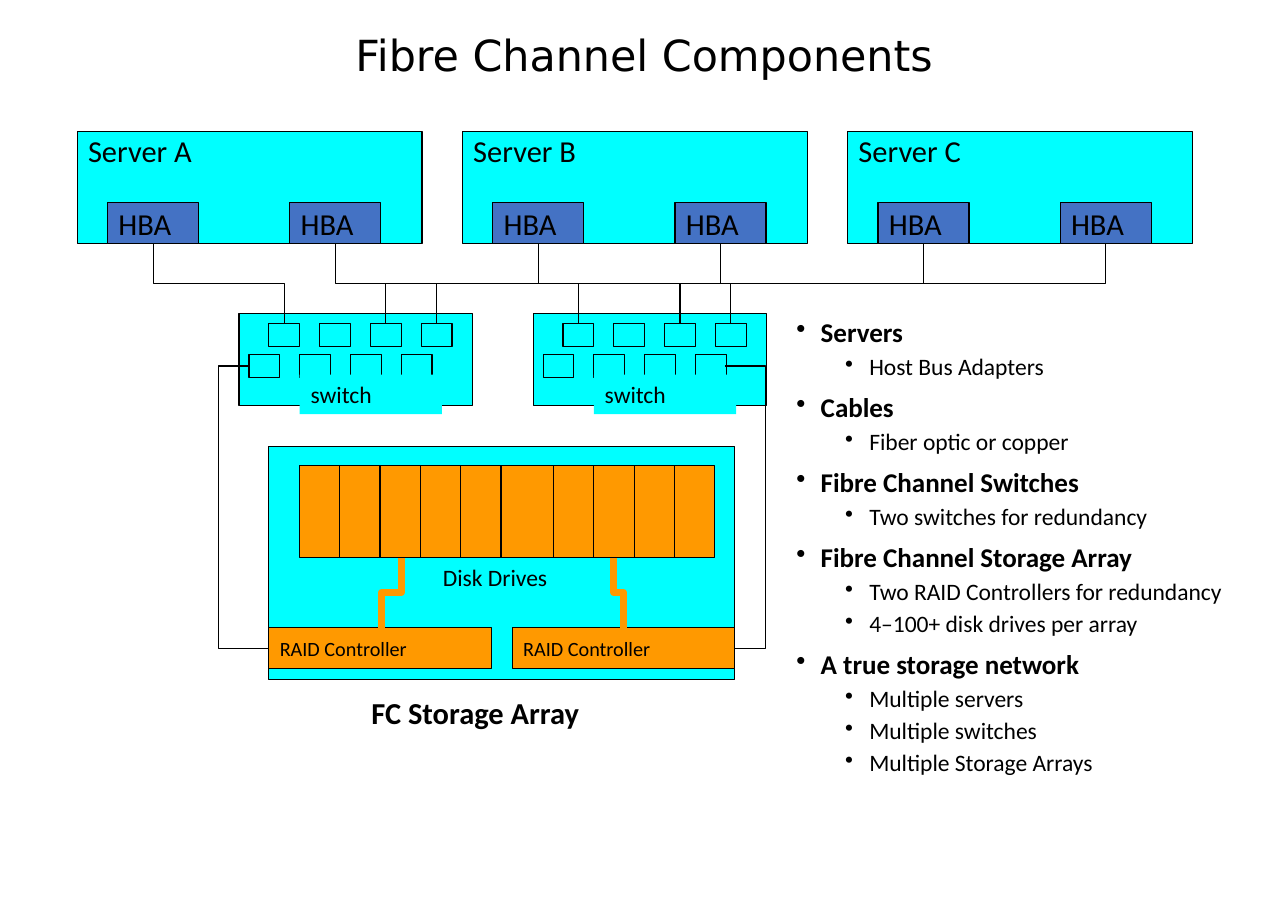
"""Builds the Fibre Channel components slide."""
import dataclasses

import lxml.etree
import pptx
import pptx.dml.color
import pptx.enum.shapes
import pptx.enum.text
import pptx.oxml.ns
import pptx.util

Cm = pptx.util.Cm
Pt = pptx.util.Pt
qn = pptx.oxml.ns.qn
MIDDLE = pptx.enum.text.MSO_ANCHOR.MIDDLE
TOP = pptx.enum.text.MSO_ANCHOR.TOP
LEFT = pptx.enum.text.PP_ALIGN.LEFT
CENTER = pptx.enum.text.PP_ALIGN.CENTER


@dataclasses.dataclass(frozen=True)
class Theme:
    ink: str = "000000"
    unit: str = "00FFFF"
    adapter: str = "4472C4"
    disk: str = "FF9900"
    font: str = "Calibri"
    title_font: str = "DejaVu Sans"
    title: float = 28
    large: float = 19.9
    heading: float = 17.7
    body: float = 15.4
    small: float = 13.2
    thin: float = 0.75
    thick: float = 4.5


THEME = Theme()

OUTLINE = {
    "Servers": ["Host Bus Adapters"],
    "Cables": ["Fiber optic or copper"],
    "Fibre Channel Switches": ["Two switches for redundancy"],
    "Fibre Channel Storage Array": [
        "Two RAID Controllers for redundancy",
        "4–100+ disk drives per array",
    ],
    "A true storage network": [
        "Multiple servers",
        "Multiple switches",
        "Multiple Storage Arrays",
    ],
}

SERVER_LEFTS = [1.78 + 8.88 * index for index in range(3)]
SERVER_BOTTOM = 5.61
HBA_OFFSETS = (0.7, 4.9)
HBA_WIDTH, HBA_HEIGHT = 2.1, 0.94
SWITCH_LEFTS = (5.51, 12.29)
PORT_PITCH, PORT_WIDTH, PORT_HEIGHT = 1.17, 0.71, 0.53
UPPER_OFFSET, UPPER_TOP = 0.69, 7.47
LOWER_OFFSET, LOWER_TOP = 0.23, 8.18
SERVER_PORTS = (0, 2, 3)
DRIVES_LEFT, DRIVES_RIGHT = 6.9, 16.48
DRIVES_TOP, DRIVES_BOTTOM = 10.74, 12.85
DRIVE_WIDTH = 0.93
CONTROLLER_TOP = 14.48


def color(value):
    return pptx.dml.color.RGBColor.from_string(value)


def add_span(para, text, size, bold=False, font=THEME.font):
    span = para.add_run()
    span.text = text
    span.font.name = font
    span.font.size = Pt(size)
    span.font.bold = bold
    span.font.color.rgb = color(THEME.ink)


def set_frame(frame, anchor, top_inset=0.13):
    frame.word_wrap = True
    frame.vertical_anchor = anchor
    frame.margin_left = frame.margin_right = Cm(0.25)
    frame.margin_top, frame.margin_bottom = Cm(top_inset), Cm(0.13)


def add_box(shapes, area, fill, text="", size=THEME.large, anchor=MIDDLE,
            top_inset=0.13, outlined=True):
    box = shapes.add_shape(pptx.enum.shapes.MSO_SHAPE.RECTANGLE, *map(Cm, area))
    box.shadow.inherit = False
    box.fill.solid()
    box.fill.fore_color.rgb = color(fill)
    if outlined:
        box.line.color.rgb = color(THEME.ink)
        box.line.width = Pt(THEME.thin)
    else:
        box.line.fill.background()
    if text:
        set_frame(box.text_frame, anchor, top_inset)
        para = box.text_frame.paragraphs[0]
        para.alignment = LEFT
        add_span(para, text, size)


def add_label(page, area, text, size, bold=False, font=THEME.font,
              align=LEFT, anchor=TOP):
    box = page.shapes.add_textbox(*map(Cm, area))
    set_frame(box.text_frame, anchor)
    para = box.text_frame.paragraphs[0]
    para.alignment = align
    add_span(para, text, size, bold, font)


def add_line(page, start, end, kind="STRAIGHT", stroke=THEME.ink, width=THEME.thin):
    line = page.shapes.add_connector(
        pptx.enum.shapes.MSO_CONNECTOR[kind], *map(Cm, (*start, *end)))
    line.line.color.rgb = color(stroke)
    line.line.width = Pt(width)
    lxml.etree.SubElement(line._element.spPr, qn("a:effectLst"))
    return line._element.spPr


def add_drop(page, start, end, stroke=THEME.ink, width=THEME.thin):
    """Draws an elbow that leaves downwards and turns halfway."""
    across, down = end[0] - start[0], end[1] - start[1]
    middle_x, middle_y = (start[0] + end[0]) / 2, (start[1] + end[1]) / 2
    side = down / 2 if across > 0 else -down / 2
    rise = abs(across) / 2
    properties = add_line(page, (middle_x + side, middle_y - rise),
                          (middle_x - side, middle_y + rise), "ELBOW", stroke, width)
    turn = 270 if across > 0 else 90
    properties.find(qn("a:xfrm")).set("rot", str(turn * 60000))


def add_loop(page, start, end, via):
    properties = add_line(page, start, end, "ELBOW")
    share = round((via - start[0]) / (end[0] - start[0]) * 100000)
    guides = properties.find(qn("a:prstGeom")).find(qn("a:avLst"))
    lxml.etree.SubElement(guides, qn("a:gd"), name="adj1", fmla=f"val {share}")


def add_server(page, left, name):
    add_box(page.shapes, (left, 3.04, 7.95, 2.57), THEME.unit, name,
            anchor=TOP, top_inset=0)
    for offset in HBA_OFFSETS:
        add_box(page.shapes, (left + offset, SERVER_BOTTOM - HBA_HEIGHT,
                              HBA_WIDTH, HBA_HEIGHT), THEME.adapter, "HBA")


def add_switch(page, left):
    shapes = page.shapes.add_group_shape().shapes
    add_box(shapes, (left, 7.24, 5.38, 2.11), THEME.unit)
    for offset, top in ((UPPER_OFFSET, UPPER_TOP), (LOWER_OFFSET, LOWER_TOP)):
        for port in range(4):
            add_box(shapes, (left + offset + port * PORT_PITCH, top,
                             PORT_WIDTH, PORT_HEIGHT), THEME.unit)
    add_box(shapes, (left + 1.4, 8.64, 3.28, 0.91), THEME.unit, "switch",
            THEME.body, TOP, outlined=False)


def add_storage(page):
    add_box(page.shapes, (6.2, 10.29, 10.74, 5.38), THEME.unit)
    for left in (6.2, 11.81):
        add_box(page.shapes, (left, CONTROLLER_TOP, 5.13, 0.94), THEME.disk,
                "RAID Controller", THEME.small)
    height = DRIVES_BOTTOM - DRIVES_TOP
    add_box(page.shapes, (DRIVES_LEFT, DRIVES_TOP, DRIVES_RIGHT - DRIVES_LEFT, height),
            THEME.disk)
    edges = [DRIVES_LEFT + DRIVE_WIDTH * count for count in range(1, 6)]
    edges += [DRIVES_RIGHT - DRIVE_WIDTH * count for count in range(4, 0, -1)]
    for edge in edges:
        add_line(page, (edge, DRIVES_TOP), (edge, DRIVES_BOTTOM))
    for drive, start, end in ((edges[1], 9.25, 8.79), (edges[6], 14.15, 14.38)):
        add_drop(page, (start, DRIVES_BOTTOM), (end, CONTROLLER_TOP),
                 THEME.disk, THEME.thick)
        add_box(page.shapes, (drive, DRIVES_TOP, DRIVE_WIDTH, height), THEME.disk)
    add_label(page, (9.96, 12.85, 6.07, 0.91), "Disk Drives", THEME.body)
    add_label(page, (8.31, 15.88, 7.01, 1.12), "FC Storage Array", THEME.large, True)


def add_outline(page):
    frame = page.shapes.add_textbox(*map(Cm, (18.11, 7.24, 10.74, 10.92))).text_frame
    set_frame(frame, TOP)
    entries = []
    for heading, details in OUTLINE.items():
        entries += [(heading, 0)] + [(detail, 1) for detail in details]
    for index, (text, level) in enumerate(entries):
        para = frame.add_paragraph() if index else frame.paragraphs[0]
        properties = para._p.get_or_add_pPr()
        properties.set("marL", str(Cm(1.68 if level else 0.56)))
        properties.set("indent", str(-Cm(0.56)))
        lxml.etree.SubElement(properties, qn("a:buChar"), char="•")
        para.level = level
        para.line_spacing = 0.9
        if index:
            para.space_before = Pt(4.4 if level else 8.8)
        add_span(para, text, THEME.body if level else THEME.heading, not level)


def main():
    deck = pptx.Presentation()
    deck.slide_width, deck.slide_height = Cm(29.69), Cm(21.03)
    page = deck.slides.add_slide(deck.slide_layouts[6])
    add_label(page, (2.03, 0, 25.63, 2.5), "Fibre Channel Components", THEME.title,
              font=THEME.title_font, align=CENTER, anchor=MIDDLE)
    for left, letter in zip(SERVER_LEFTS, "ABC"):
        add_server(page, left, f"Server {letter}")
    for left in SWITCH_LEFTS:
        add_switch(page, left)
    for server, port in zip(SERVER_LEFTS, SERVER_PORTS):
        for offset, switch in zip(HBA_OFFSETS, SWITCH_LEFTS):
            socket = switch + UPPER_OFFSET + port * PORT_PITCH + PORT_WIDTH / 2
            add_drop(page, (server + offset + HBA_WIDTH / 2, SERVER_BOTTOM),
                     (socket, UPPER_TOP))
    add_storage(page)
    add_loop(page, (5.74, 8.44), (6.2, 14.95), 5.03)
    add_loop(page, (16.71, 8.44), (16.94, 14.95), 17.65)
    add_outline(page)
    deck.save("out.pptx")


if __name__ == "__main__":
    main()
